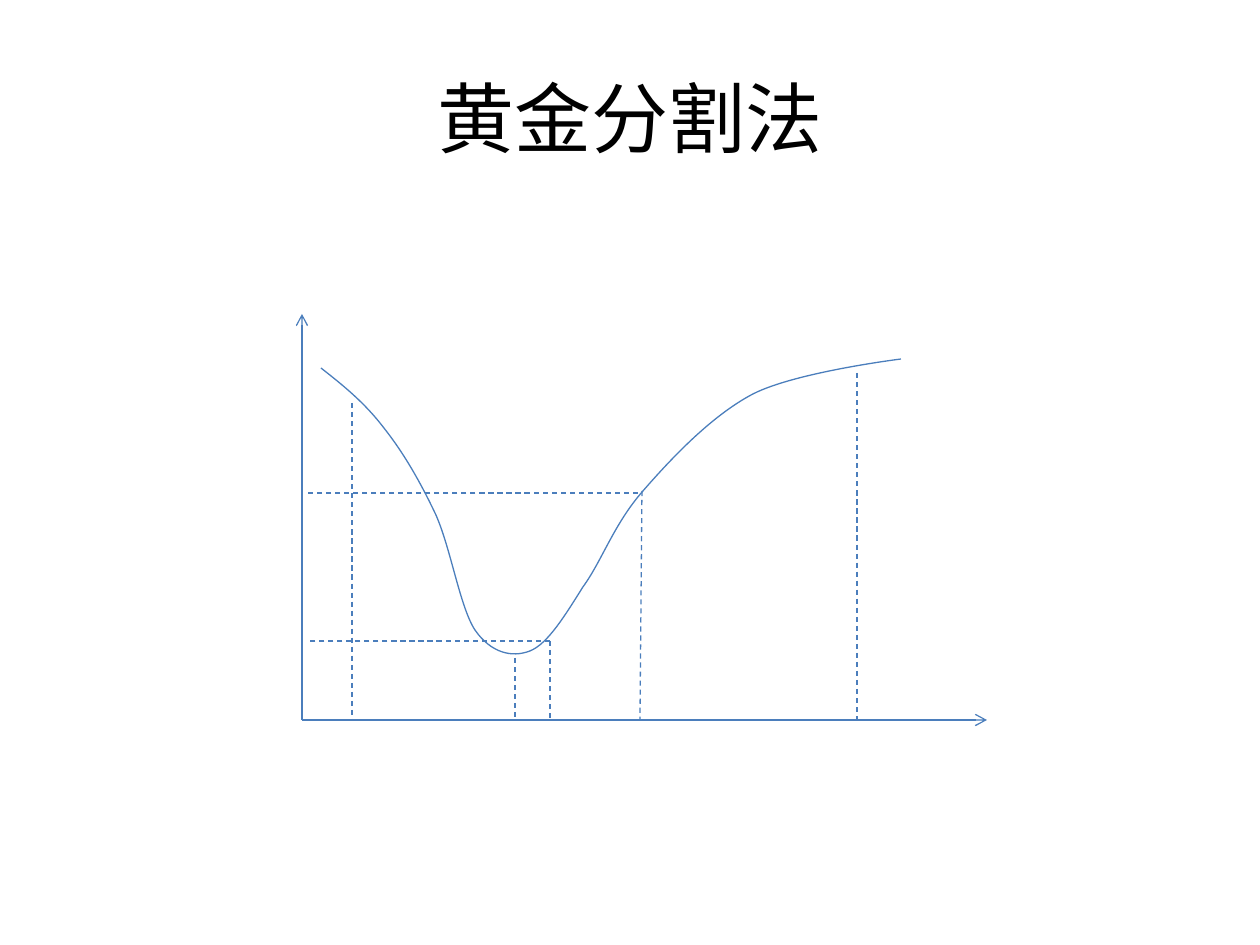
from dataclasses import dataclass

from lxml.etree import SubElement
from pptx import Presentation
from pptx.dml.color import RGBColor
from pptx.enum.dml import MSO_LINE
from pptx.enum.shapes import MSO_CONNECTOR
from pptx.enum.text import MSO_ANCHOR, PP_ALIGN
from pptx.oxml.ns import qn
from pptx.util import Emu, Pt


@dataclass(frozen=True)
class Theme:
    ink: RGBColor = RGBColor(0x00, 0x00, 0x00)
    line: RGBColor = RGBColor(0x4B, 0x7E, 0xBC)
    font: str = "Calibri"
    title_size: Pt = Pt(44)
    line_width: Pt = Pt(0.75)


theme = Theme()
PX_PER_INCH = 126


def px(length):
    return Emu(round(length * 914400 / PX_PER_INCH))


def draw_line(start, end, dashed=False, arrow=False):
    connector = slide.shapes.add_connector(
        MSO_CONNECTOR.STRAIGHT, *map(px, start + end))
    connector.line.color.rgb = theme.line
    connector.line.width = theme.line_width
    if dashed:
        connector.line.dash_style = MSO_LINE.DASH
    properties = connector._element.spPr
    if arrow:
        SubElement(properties.find(qn("a:ln")), qn("a:tailEnd"), type="arrow")
    SubElement(properties, qn("a:effectLst"))


presentation = Presentation()
presentation.slide_width, presentation.slide_height = px(1260), px(945)
slide = presentation.slides.add_slide(presentation.slide_layouts[5])

# Title
title = slide.shapes.title
title.left, title.top, title.width, title.height = map(px, (63, 38, 1134, 157))
title.text_frame.vertical_anchor = MSO_ANCHOR.MIDDLE
heading = title.text_frame.paragraphs[0]
heading.alignment = PP_ALIGN.CENTER
heading_run = heading.add_run()
heading_run.text = "黄金分割法"
heading_run.font.name = theme.font
heading_run.font.size = theme.title_size
heading_run.font.color.rgb = theme.ink

# Axes
origin_x, origin_y = 302, 720
draw_line((origin_x, origin_y), (987, origin_y), arrow=True)
draw_line((origin_x, origin_y), (origin_x, 314), arrow=True)

# Function curve: a start point, then two handles and an end point per segment
curve_start = (321, 368)
curve_segments = [
    ((344, 386), (365, 403), (384, 428)),
    ((403, 452), (420, 481), (436, 515)),
    ((451, 549), (460, 607), (475, 630)),
    ((491, 653), (512, 658), (530, 651)),
    ((548, 644), (566, 614), (583, 587)),
    ((602, 561), (614, 524), (643, 491)),
    ((670, 460), (711, 416), (753, 394)),
    ((796, 372), (901, 359), (901, 359)),
]
builder = slide.shapes.build_freeform(*map(px, curve_start))
builder.add_line_segments(
    [(px(x), px(y)) for segment in curve_segments for x, y in segment],
    close=False)
curve = builder.convert_to_shape()
curve.fill.background()
curve.line.color.rgb = theme.line
curve.line.width = theme.line_width
curve.shadow.inherit = False

# Turn every three straight steps into one Bézier segment
outline = next(curve._element.iter(qn("a:path")))
steps = outline.findall(qn("a:lnTo"))
for first in range(0, len(steps), 3):
    bezier = SubElement(outline, qn("a:cubicBezTo"))
    for step in steps[first:first + 3]:
        bezier.append(step[0])
        outline.remove(step)

# Dashed drops to the x axis: top x, top y, foot x
for top_x, top_y, foot_x in [
    (352, 403, 352),
    (515, 658, 515),
    (550, 641, 550),
    (642, 491, 640),
    (857, 373, 857),
]:
    draw_line((top_x, top_y), (foot_x, origin_y), dashed=True)

# Dashed function values towards the y axis
for right, level in [(638, 493), (550, 641)]:
    draw_line((right, level), (308, level), dashed=True)

presentation.save("out.pptx")
